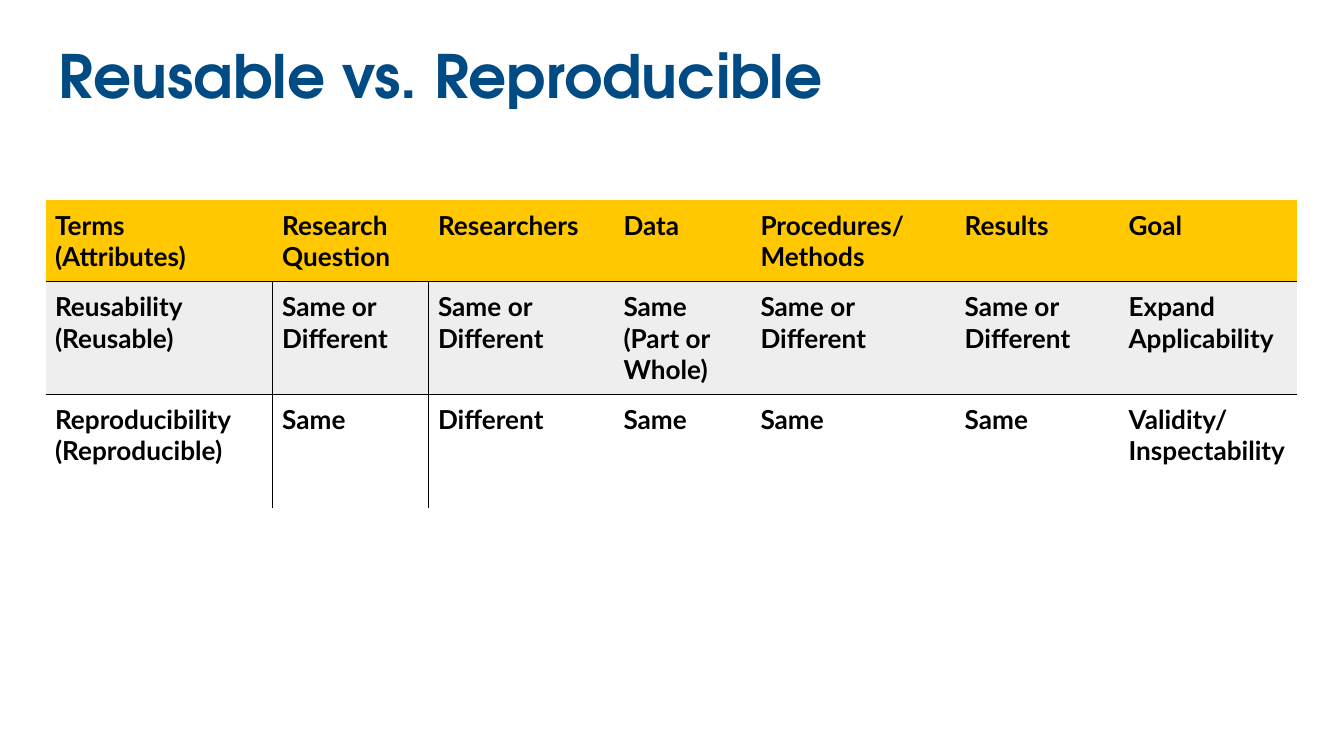
import pptx
import pptx.dml.color
import pptx.enum.text
import pptx.oxml
import pptx.oxml.ns
import pptx.util

Pt = pptx.util.Pt

COLORS = {
    "title": "004B83",
    "text": "000000",
    "line": "000000",
    "header": "FFC800",
    "band": "EEEEEE",
}
ROWS = [
    ["Terms\n(Attributes)", "Research Question", "Researchers", "Data",
     "Procedures/\nMethods", "Results", "Goal"],
    ["Reusability\n(Reusable)", "Same or Different", "Same or Different",
     "Same (Part or Whole)", "Same or Different", "Same or Different",
     "Expand Applicability"],
    ["Reproducibility (Reproducible)", "Same", "Different", "Same", "Same",
     "Same", "Validity/\nInspectability"],
]
ROW_FILLS = ["header", "band", None]
ROW_HEIGHTS = [43.5, 60.5, 61]
COLUMN_WIDTHS = [121.7, 83.5, 99.4, 73.4, 109.4, 87.8, 95]
RULED_COLUMNS = 2


def color(name):
    return pptx.dml.color.RGBColor.from_string(COLORS[name])


def style_paragraph(para, font_name, size, color_name):
    font = para.font
    font.name = font_name
    font.size = Pt(size)
    font.bold = True
    font.color.rgb = color(color_name)


def add_title(page, text):
    box = page.shapes.add_textbox(Pt(24.5), Pt(18), Pt(671), Pt(45.4))
    frame = box.text_frame
    frame.word_wrap = True
    frame.vertical_anchor = pptx.enum.text.MSO_ANCHOR.TOP
    frame.margin_left = frame.margin_right = Pt(7.2)
    frame.margin_top = frame.margin_bottom = Pt(7.2)
    frame.text = text
    para = frame.paragraphs[0]
    para.line_spacing = 0.9
    style_paragraph(para, "TeX Gyre Adventor", 32, "title")


def set_borders(cell, visible_sides):
    properties = cell._tc.get_or_add_tcPr()
    for side in "LRTB":
        if side in visible_sides:
            paint = f'<a:solidFill><a:srgbClr val="{COLORS["line"]}"/></a:solidFill>'
        else:
            paint = "<a:noFill/>"
        properties.append(pptx.oxml.parse_xml(
            f'<a:ln{side} {pptx.oxml.ns.nsdecls("a")} w="{Pt(0.75)}">'
            f"{paint}</a:ln{side}>"))


def visible_sides(row, column):
    sides = ""
    if row > 0:
        sides += "T"
        if column < RULED_COLUMNS:
            sides += "R"
        if 0 < column <= RULED_COLUMNS:
            sides += "L"
    if row < len(ROWS) - 1:
        sides += "B"
    return sides


def fill_cell(cell, text, fill_name, sides):
    set_borders(cell, sides)
    if fill_name:
        cell.fill.solid()
        cell.fill.fore_color.rgb = color(fill_name)
    else:
        cell.fill.background()
    cell.margin_left = cell.margin_right = Pt(5)
    cell.margin_top = cell.margin_bottom = Pt(5)
    cell.text = text
    for para in cell.text_frame.paragraphs:
        style_paragraph(para, "Lato", 14, "text")


def add_comparison_table(page):
    table = page.shapes.add_table(
        len(ROWS), len(COLUMN_WIDTHS), Pt(24.5), Pt(107.2),
        Pt(sum(COLUMN_WIDTHS)), Pt(sum(ROW_HEIGHTS))).table
    table.first_row = False
    table.horz_banding = False
    for column, width in zip(table.columns, COLUMN_WIDTHS):
        column.width = Pt(width)
    for row, height in zip(table.rows, ROW_HEIGHTS):
        row.height = Pt(height)
    for row, texts in enumerate(ROWS):
        for column, text in enumerate(texts):
            fill_cell(table.cell(row, column), text, ROW_FILLS[row],
                      visible_sides(row, column))


def main():
    deck = pptx.Presentation()
    deck.slide_width = Pt(720)
    deck.slide_height = Pt(405)
    page = deck.slides.add_slide(deck.slide_layouts[6])
    add_title(page, "Reusable vs. Reproducible")
    add_comparison_table(page)
    deck.save("out.pptx")


if __name__ == "__main__":
    main()
